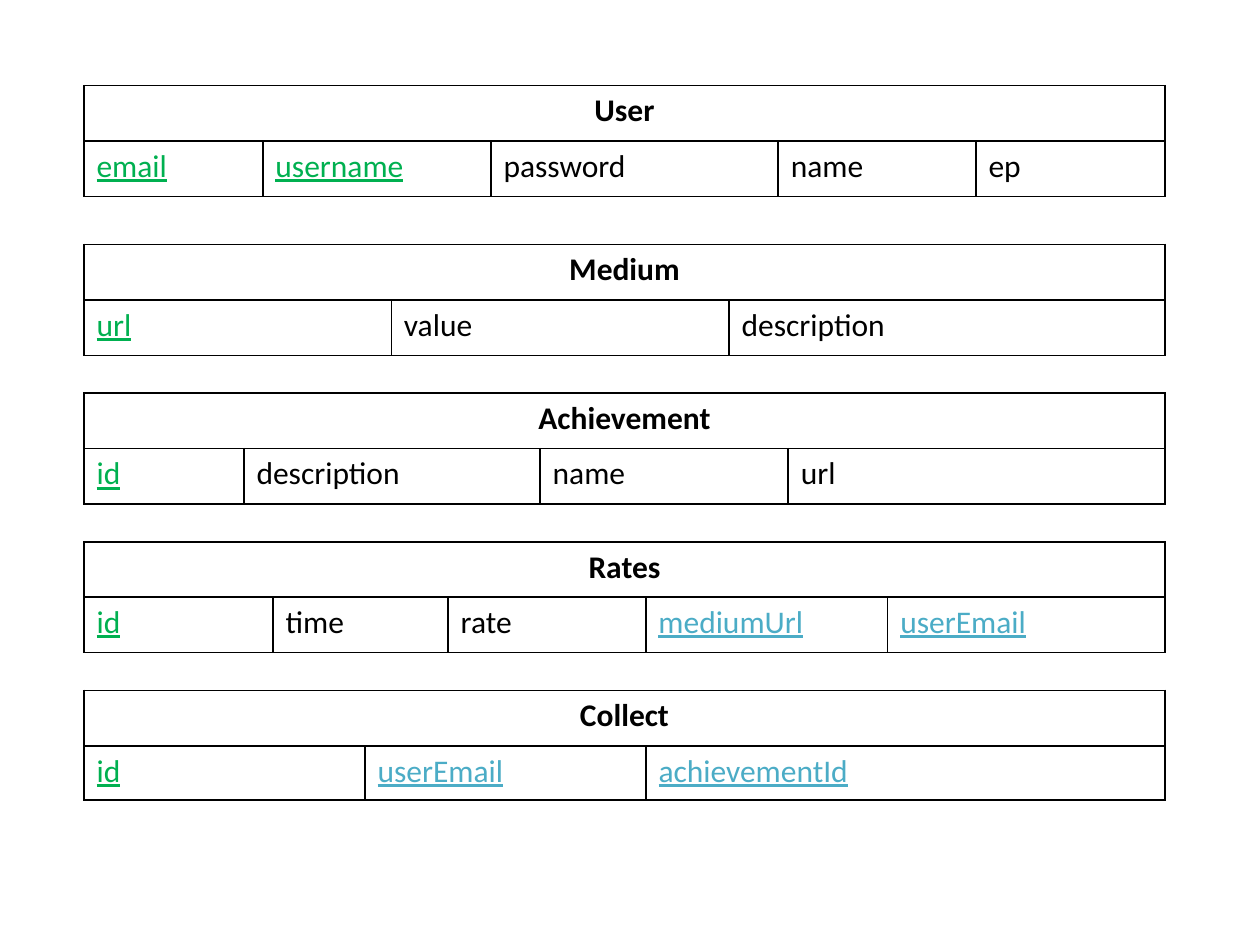
import pptx
import pptx.util
import pptx.dml.color
import pptx.enum.text
import pptx.oxml
import lxml.etree
import pptx.oxml.ns

COLOURS = {"plain": "000000", "key": "00B050", "foreign": "4BACC6", "border": "000000"}
PAGE_WIDTH, PAGE_HEIGHT = 10, 7.5
LEFT, ROW_HEIGHT = PAGE_WIDTH / 15, 0.44
RELATIONS = [
    ("User", 0.68, 0.44, [("email", 1.42, "key"), ("username", 1.81, "key"),
                          ("password", 2.28, "plain"), ("name", 1.57, "plain"),
                          ("ep", 1.5, "plain")]),
    ("Medium", 1.94, 0.44, [("url", 2.44, "key"), ("value", 2.68, "plain"),
                            ("description", 3.46, "plain")]),
    ("Achievement", 3.12, 0.44, [("id", 1.27, "key"), ("description", 2.35, "plain"),
                                 ("name", 1.97, "plain"), ("url", 2.99, "plain")]),
    ("Rates", 4.3, 0.44, [("id", 1.5, "key"), ("time", 1.39, "plain"),
                          ("rate", 1.57, "plain"), ("mediumUrl", 1.92, "foreign"),
                          ("userEmail", 2.2, "foreign")]),
    ("Collect", 5.48, 0.43, [("id", 2.23, "key"), ("userEmail", 2.23, "foreign"),
                             ("achievementId", 4.12, "foreign")]),
]


def style_cell(cell):
    """Clear the cell's fill and give it a thin border on every side."""
    properties = cell._tc.get_or_add_tcPr()
    for side in ("a:lnL", "a:lnR", "a:lnT", "a:lnB"):
        line = lxml.etree.SubElement(properties, pptx.oxml.ns.qn(side), w=str(pptx.util.Pt(1)))
        fill = lxml.etree.SubElement(line, pptx.oxml.ns.qn("a:solidFill"))
        lxml.etree.SubElement(fill, pptx.oxml.ns.qn("a:srgbClr"), val=COLOURS["border"])
    cell.fill.background()


def write_cell(cell, text, role, heading=False):
    """Write a relation name or an attribute, underlining keys."""
    cell.text_frame.text = text
    para = cell.text_frame.paragraphs[0]
    if heading:
        para.alignment = pptx.enum.text.PP_ALIGN.CENTER
    font = para.runs[0].font
    font.name = "Calibri"
    font.size = pptx.util.Pt(18)
    font.bold = heading
    font.underline = role != "plain"
    font.color.rgb = pptx.dml.color.RGBColor.from_string(COLOURS[role])


def add_relation(page, left, top, name, attribute_height, attributes):
    """Add a relation as a table: its name above a row of attributes."""
    width = sum(size for _, size, _ in attributes)
    box = page.shapes.add_table(2, len(attributes), *map(
        pptx.util.Inches, (left, top, width, ROW_HEIGHT + attribute_height)))
    table = box.table
    table.first_row = table.horz_banding = False
    for row, height in zip(table.rows, (ROW_HEIGHT, attribute_height)):
        row.height = pptx.util.Inches(height)
    for cell in table.iter_cells():
        style_cell(cell)
    table.cell(0, 0).merge(table.cell(0, len(attributes) - 1))
    write_cell(table.cell(0, 0), name, "plain", heading=True)
    for index, (text, size, role) in enumerate(attributes):
        table.columns[index].width = pptx.util.Inches(size)
        write_cell(table.cell(1, index), text, role)


def build_deck():
    """Build the slide with the relational schema and save it."""
    deck = pptx.Presentation()
    deck.slide_width = pptx.util.Inches(PAGE_WIDTH)
    deck.slide_height = pptx.util.Inches(PAGE_HEIGHT)
    page = deck.slides.add_slide(deck.slide_layouts[6])
    for name, top, attribute_height, attributes in RELATIONS:
        add_relation(page, LEFT, top, name, attribute_height, attributes)
    deck.save("out.pptx")


build_deck()
